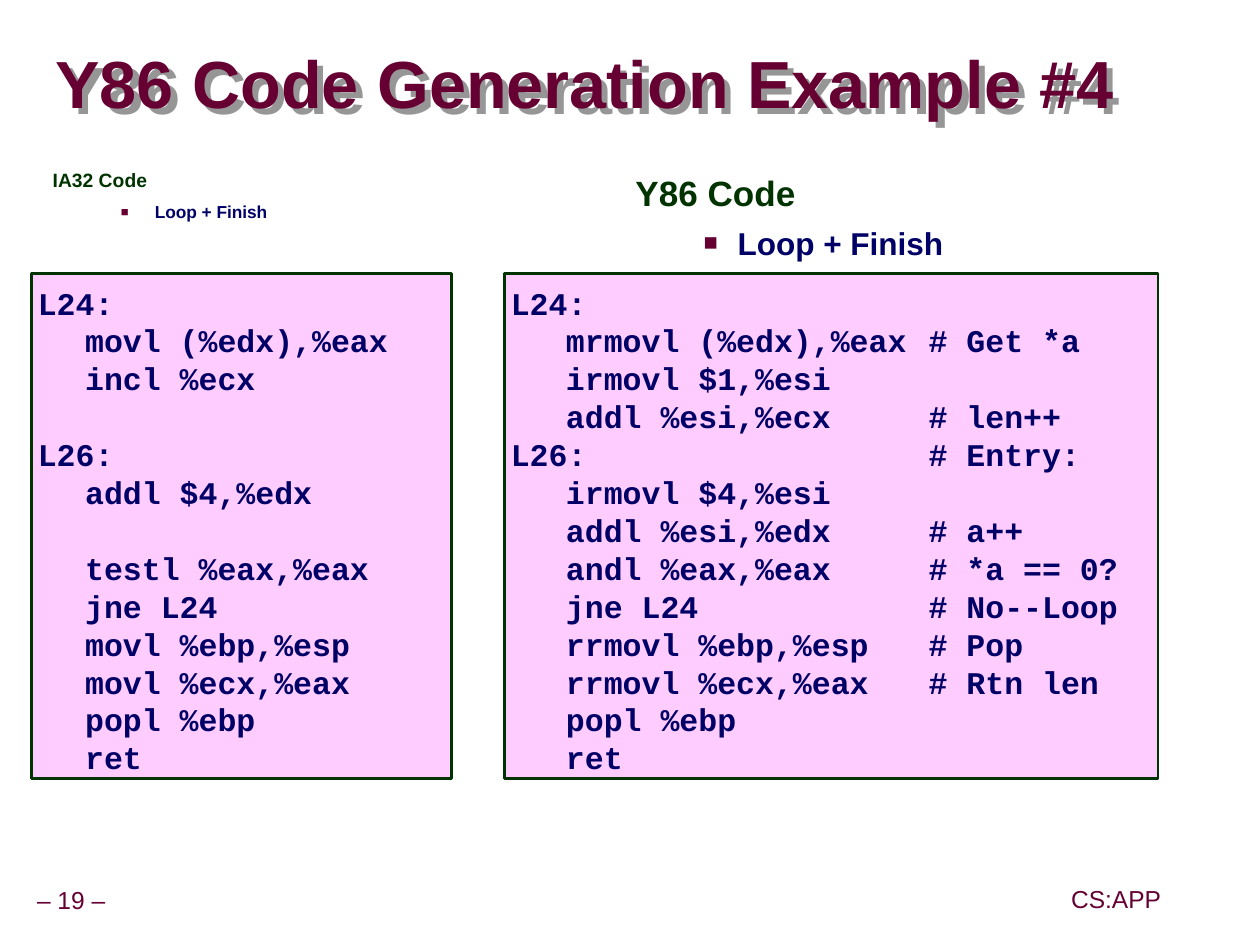
from lxml.etree import SubElement
from pptx import Presentation
from pptx.dml.color import RGBColor
from pptx.enum.shapes import MSO_SHAPE
from pptx.enum.text import MSO_ANCHOR, PP_ALIGN
from pptx.oxml.ns import qn
from pptx.util import Pt

WINE, GREEN, NAVY, PINK = "660033", "003300", "000066", "FFCCFF"
PITCH = 21.64


def color(text):
    return RGBColor.from_string(text)


def add_run(para, text, size, tint, bold=True, face="Arial"):
    run = para.add_run()
    run.text = text
    run.font.size = Pt(size)
    run.font.name = face
    run.font.bold = bold
    run.font.color.rgb = color(tint)


deck = Presentation()
deck.slide_width, deck.slide_height = Pt(719.28), Pt(539.28)
slide = deck.slides.add_slide(deck.slide_layouts[6])
shapes = slide.shapes

# Footer
for left, top, width, text in [(-6.5, 503.3, 94.3, "– 19 –"),
                               (607.7, 502.6, 59, "CS:APP")]:
    box = shapes.add_textbox(Pt(left), Pt(top), Pt(width), Pt(22.3))
    frame = box.text_frame
    frame.word_wrap = False
    frame.vertical_anchor = MSO_ANCHOR.MIDDLE
    frame.margin_left = frame.margin_right = Pt(3.6)
    para = frame.paragraphs[0]
    para.alignment = PP_ALIGN.CENTER
    para.line_spacing = 0.9
    add_run(para, text, 14, WINE, bold=False)

# Title with its shadow
title = shapes.add_textbox(Pt(31.7), Pt(19.4), Pt(685.4), Pt(61.2))
frame = title.text_frame
frame.word_wrap = True
frame.vertical_anchor = MSO_ANCHOR.MIDDLE
frame.margin_left = frame.margin_right = 0
frame.margin_top = frame.margin_bottom = 0
para = frame.paragraphs[0]
para.line_spacing = 0.87
add_run(para, "Y86 Code Generation Example #4", 38, WINE)
title.fill.background()
props = title.fill._xPr
effect = SubElement(props, qn("a:effectLst"))
shade = SubElement(effect, qn("a:outerShdw"), dist=str(Pt(5)),
                   dir="2700000", algn="ctr", rotWithShape="0")
SubElement(shade, qn("a:srgbClr"), val="969696")

# Column headings
for left, height, head, size, space, small in [
        (23, 36, "IA32 Code", 11, 0.75, 9.9),
        (355.7, 60, "Y86 Code", 20, 0.95, 18)]:
    box = shapes.add_textbox(Pt(left), Pt(95.8), Pt(320.4), Pt(height))
    frame = box.text_frame
    frame.word_wrap = True
    para = frame.paragraphs[0]
    para.line_spacing = space
    add_run(para, head, size, GREEN)

    para = frame.add_paragraph()
    para.space_before = Pt(5.6)
    props = para._p.get_or_add_pPr()
    props.set("marL", str(Pt(58.3)))
    props.set("indent", str(Pt(-19.4)))
    tint = SubElement(props, qn("a:buClr"))
    SubElement(tint, qn("a:srgbClr"), val=WINE)
    SubElement(props, qn("a:buSzPct"), val="75000")
    SubElement(props, qn("a:buFont"), typeface="Arial")
    SubElement(props, qn("a:buChar"), char="■")
    add_run(para, "Loop + Finish", small, NAVY)

# Code panels; an empty entry is a one-line gap
ia32 = ["L24:", "\tmovl (%edx),%eax", "\tincl %ecx", "",
        "L26:", "\taddl $4,%edx", "",
        "\ttestl %eax,%eax", "\tjne L24", "\tmovl %ebp,%esp",
        "\tmovl %ecx,%eax", "\tpopl %ebp", "\tret"]
y86 = ["L24:", "\tmrmovl (%edx),%eax\t# Get *a", "\tirmovl $1,%esi",
       "\taddl %esi,%ecx\t# len++", "L26:\t# Entry:",
       "\tirmovl $4,%esi", "\taddl %esi,%edx\t# a++",
       "\tandl %eax,%eax\t# *a == 0?", "\tjne L24\t# No--Loop",
       "\trrmovl %ebp,%esp\t# Pop", "\trrmovl %ecx,%eax\t# Rtn len",
       "\tpopl %ebp", "\tret"]
for left, width, stops, code in [(18, 239.8, [27], ia32),
                                 (288, 373, [31.5, 238.5], y86)]:
    panel = shapes.add_shape(MSO_SHAPE.RECTANGLE, Pt(left), Pt(156.2),
                             Pt(width), Pt(288))
    panel.shadow.inherit = False
    panel.fill.solid()
    panel.fill.fore_color.rgb = color(PINK)
    panel.line.color.rgb = color(GREEN)
    panel.line.width = Pt(1.5)
    frame = panel.text_frame
    frame.word_wrap = True
    frame.vertical_anchor = MSO_ANCHOR.TOP
    frame.margin_left = frame.margin_right = Pt(3.6)
    frame.margin_top, frame.margin_bottom = Pt(5.6), Pt(1)
    para, gap = frame.paragraphs[0], 0
    for row, text in enumerate(code):
        if not text:
            gap = PITCH
            continue
        if row:
            para = frame.add_paragraph()
        para.alignment = PP_ALIGN.LEFT
        para.line_spacing = Pt(PITCH)
        para.space_before = Pt(gap)
        gap = 0
        tabs = SubElement(para._p.get_or_add_pPr(), qn("a:tabLst"))
        for stop in stops:
            # The label line with a comment skips the code column
            SubElement(tabs, qn("a:tab"), pos=str(Pt(stop)), algn="l")
        add_run(para, text, 18, NAVY, face="Courier New")

deck.save("out.pptx")
